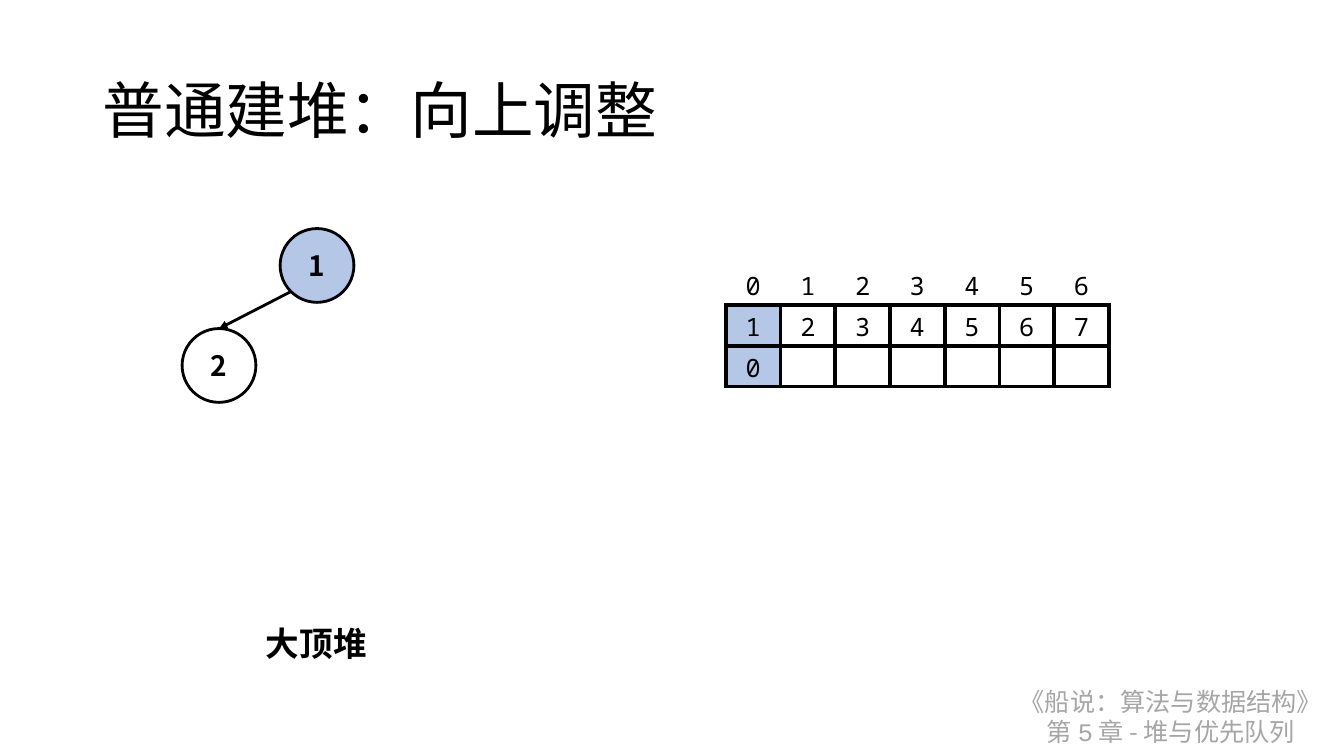
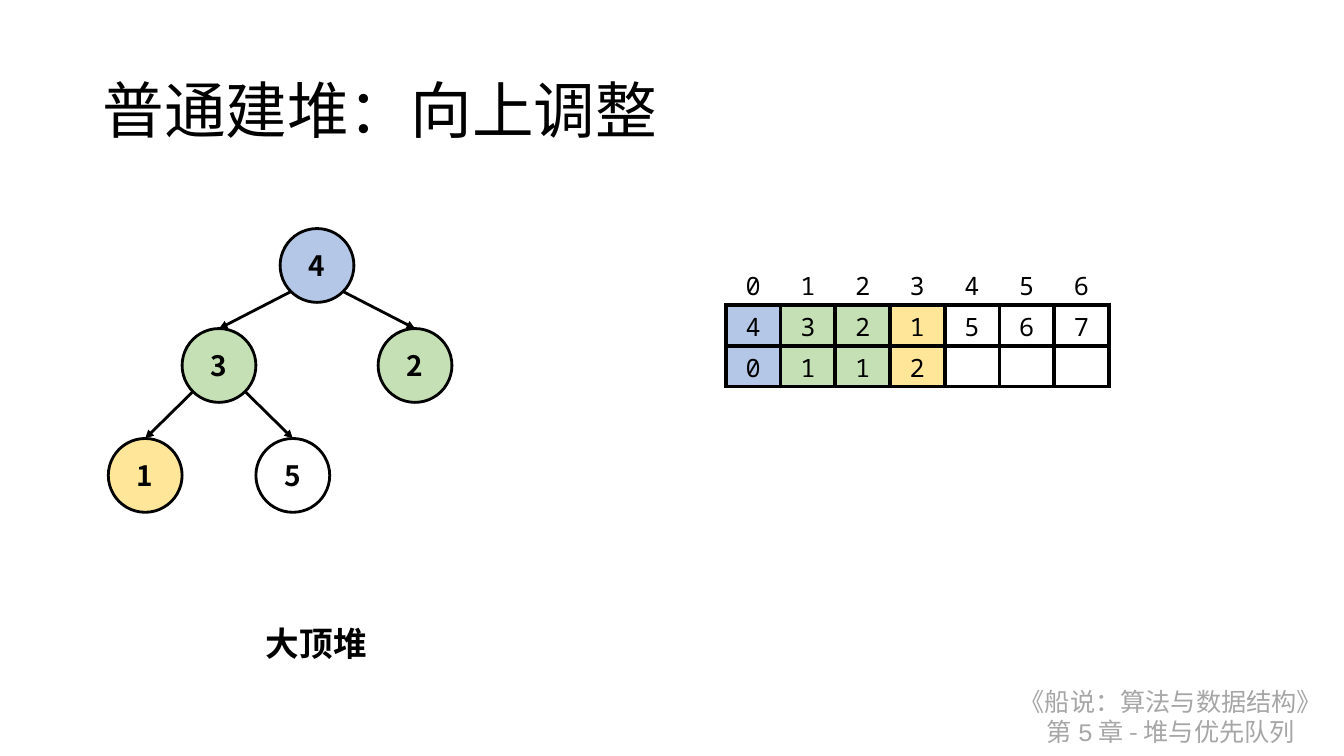
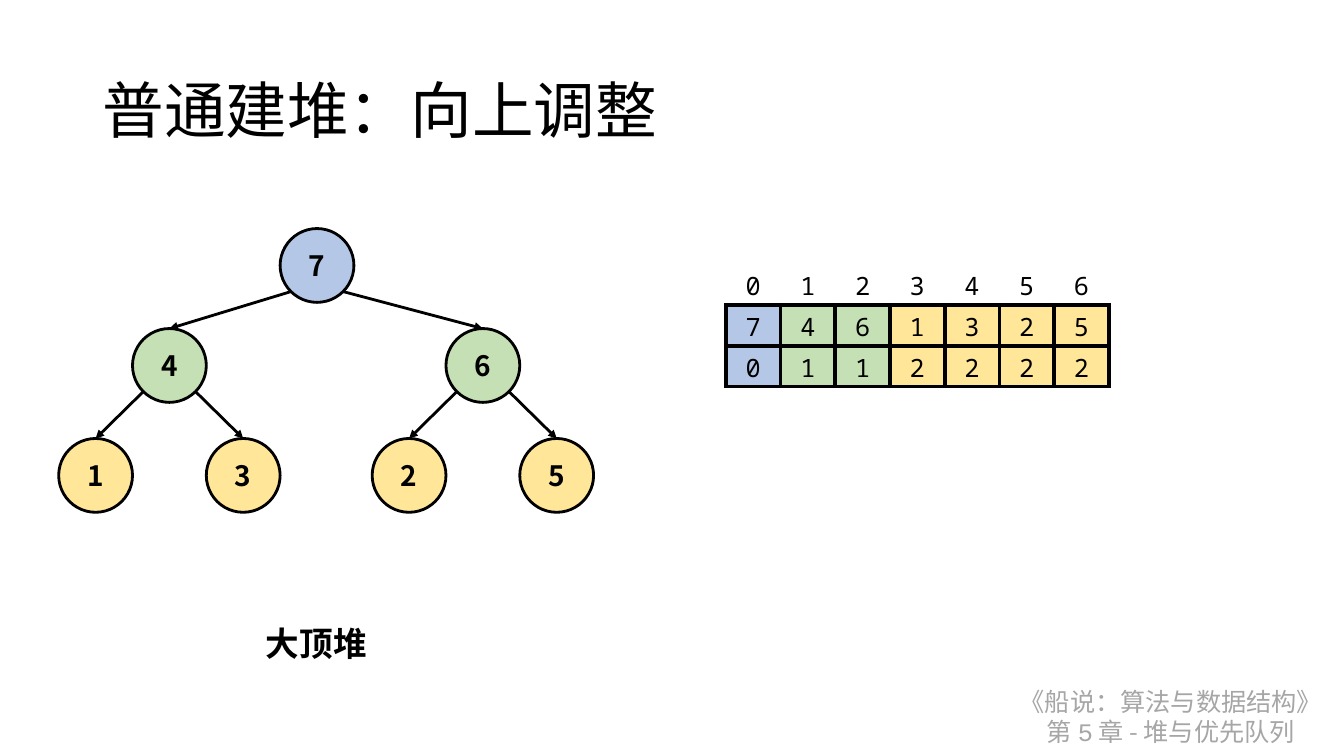
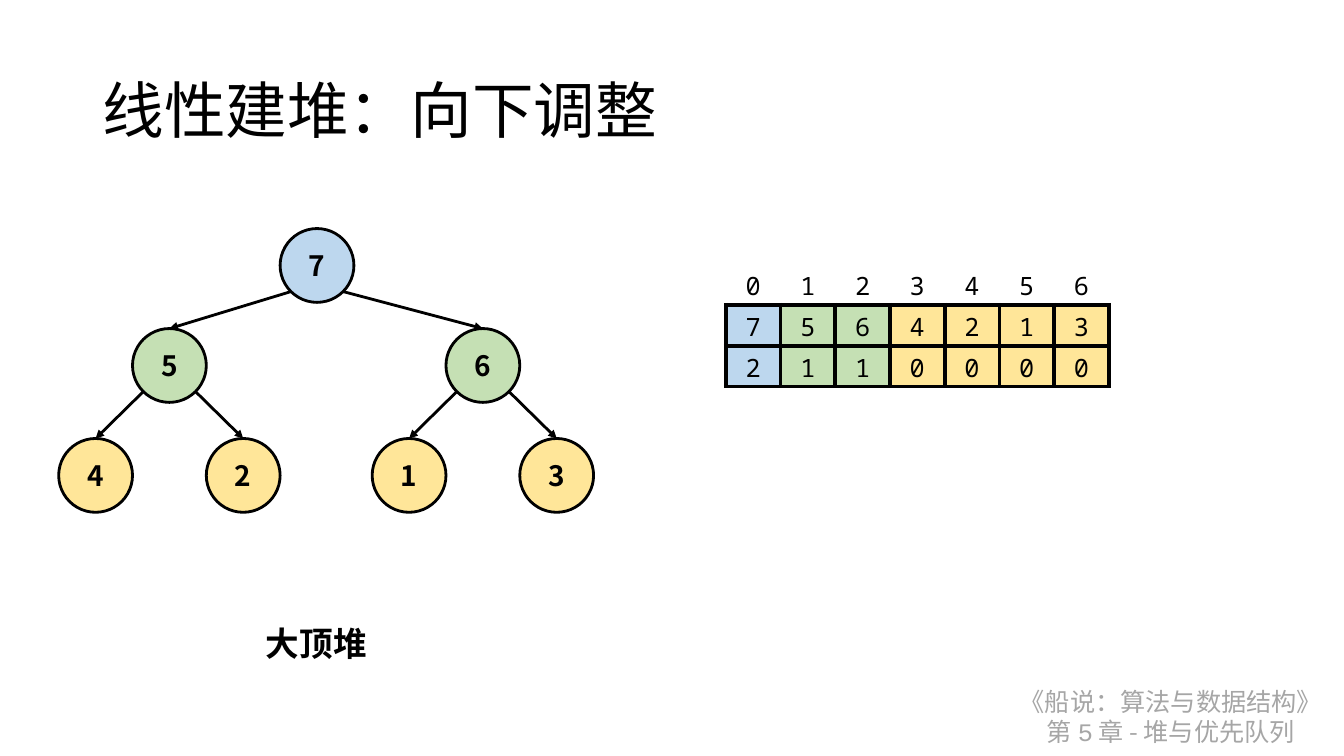
from lxml.etree import SubElement
from pptx import Presentation
from pptx.dml.color import RGBColor
from pptx.enum.shapes import MSO_CONNECTOR, MSO_SHAPE
from pptx.enum.text import MSO_ANCHOR, MSO_AUTO_SIZE, PP_ALIGN
from pptx.oxml.ns import qn
from pptx.util import Cm, Pt

SANS, MONO, COURIER = "Noto Sans CJK SC", "Noto Sans Mono", "Courier New"
BLACK, WHITE, GREY = "000000", "FFFFFF", "A6A6A6"
BLUE, PALE_BLUE, GREEN, YELLOW = "B4C7E7", "BDD7EE", "C5E0B4", "FFE699"

DIAMETER = 1.86
RADIUS = DIAMETER / 2
ROOT_X = 7.99
LEVEL_Y = (6.69, 9.21, 11.98)
NARROW, WIDE = (2.47, 2.47), (3.72, 4.18)
COLUMN, ROW = 1.38, 1.03

UPWARD, DOWNWARD = "普通建堆：向上调整", "线性建堆：向下调整"
STEPS = [
    (UPWARD, "1234567", "0", 2, NARROW, BLUE),
    (UPWARD, "4321567", "0112", 5, NARROW, BLUE),
    (UPWARD, "7461325", "0112222", 7, WIDE, BLUE),
    (DOWNWARD, "7564213", "2110000", 7, WIDE, PALE_BLUE),
]


def rgb(value):
    """Turn a hex string into a colour."""
    return RGBColor.from_string(value)


def add_run(p, text, size, font=SANS, colour=BLACK, bold=False):
    """Add one formatted run to a paragraph."""
    r = p.add_run()
    r.text = text
    r.font.size = Pt(size)
    r.font.name = font
    r.font.bold = bold
    r.font.color.rgb = rgb(colour)
    SubElement(r.font._element, qn("a:ea"), typeface=SANS)


def add_label(s, left, top, width, height):
    """Add an unwrapped text box and return it."""
    box = s.shapes.add_textbox(Cm(left), Cm(top), Cm(width), Cm(height))
    box.text_frame.word_wrap = False
    box.text_frame.auto_size = MSO_AUTO_SIZE.SHAPE_TO_FIT_TEXT
    return box


def add_footer(layout, s):
    """Build the book and chapter footer and move it to the layout."""
    box = add_label(s, 25.32, 17.17, 8.38, 1.8)
    tf = box.text_frame
    lines = [
        [("《船说：算法与数据结构》", SANS)],
        [("第 ", SANS), ("5", COURIER), (" 章 - 堆与优先队列", SANS)],
    ]
    for i, runs in enumerate(lines):
        p = tf.add_paragraph() if i else tf.paragraphs[0]
        p.alignment = PP_ALIGN.CENTER
        for text, font in runs:
            add_run(p, text, 18, font, GREY)
    box.element.nvSpPr.cNvPr.set("id", "20")
    layout.shapes.element.append(box.element)


def set_title(s, text):
    """Fill the title placeholder."""
    tf = s.shapes.title.text_frame
    tf.vertical_anchor = MSO_ANCHOR.MIDDLE
    p = tf.paragraphs[0]
    p.alignment = PP_ALIGN.LEFT
    p.line_spacing = 0.9
    add_run(p, text, 44)


def add_node(s, x, y, value, fill):
    """Add a tree node centred on a point."""
    node = s.shapes.add_shape(MSO_SHAPE.OVAL, Cm(x - RADIUS), Cm(y - RADIUS),
                              Cm(DIAMETER), Cm(DIAMETER))
    node.shadow.inherit = False
    node.fill.solid()
    node.fill.fore_color.rgb = rgb(fill)
    node.line.color.rgb = rgb(BLACK)
    node.line.width = Pt(2)
    tf = node.text_frame
    tf.vertical_anchor = MSO_ANCHOR.MIDDLE
    p = tf.paragraphs[0]
    p.alignment = PP_ALIGN.CENTER
    add_run(p, value, 20, bold=True)
    return node


def add_edge(s, parent, child, side):
    """Draw an arrow from a parent's lower side to the top of its child."""
    x, y = parent
    reach = RADIUS * 0.707
    edge = s.shapes.add_connector(MSO_CONNECTOR.STRAIGHT, Cm(x + side * reach),
                                  Cm(y + reach), Cm(x), Cm(y))
    edge.end_connect(child, 0)
    edge.line.color.rgb = rgb(BLACK)
    edge.line.width = Pt(2)
    SubElement(edge.line._get_or_add_ln(), qn("a:tailEnd"), type="triangle")
    SubElement(edge.element.spPr, qn("a:effectLst"))


def add_tree(s, values, fills, spread):
    """Draw the values as a binary heap."""
    centres = []
    for i, (value, fill) in enumerate(zip(values, fills)):
        level = (i + 1).bit_length() - 1
        side = -1 if i % 2 else 1
        parent = centres[(i - 1) // 2] if i else None
        x = ROOT_X
        if parent:
            gap = spread[i - 1] if level == 1 else DIAMETER
            x = parent[0] + side * gap
        centres.append((x, LEVEL_Y[level]))
        node = add_node(s, *centres[i], value, fill)
        if parent:
            add_edge(s, parent, node, side)


def add_borders(cell, sides):
    """Give the named sides of a cell a black border."""
    props = cell._tc.get_or_add_tcPr()
    for side in sides:
        line = SubElement(props, qn(f"a:ln{side}"), w=str(Pt(3)))
        fill = SubElement(line, qn("a:solidFill"))
        SubElement(fill, qn("a:srgbClr"), val=BLACK)


def add_array(s, values, levels, fills):
    """Add the table of indexes, values and levels."""
    rows = ["0123456", values, levels]
    count = len(values)
    table = s.shapes.add_table(len(rows), count, Cm(18.29), Cm(6.65),
                               Cm(COLUMN * count), Cm(ROW * len(rows))).table
    table.first_row = table.horz_banding = False
    for column in table.columns:
        column.width = Cm(COLUMN)
    for i, row in enumerate(rows):
        table.rows[i].height = Cm(ROW)
        for j in range(count):
            cell = table.cell(i, j)
            add_borders(cell, "LRTB" if i else "B")
            if i and j < len(levels):
                cell.fill.solid()
                cell.fill.fore_color.rgb = rgb(fills[j])
            else:
                cell.fill.background()
            p = cell.text_frame.paragraphs[0]
            p.alignment = PP_ALIGN.CENTER
            if j < len(row):
                add_run(p, row[j], 18, MONO)


def add_step(prs, layout, title, values, levels, shown, spread, root):
    """Add a slide for one step of building the heap."""
    s = prs.slides.add_slide(layout)
    set_title(s, title)
    caption = add_label(s, 6.45, 15.57, 3.07, 1.27)
    add_run(caption.text_frame.paragraphs[0], "大顶堆", 24, bold=True)
    palette = [root] + [GREEN] * 2 + [YELLOW] * 4
    fills = [c if i < len(levels) else WHITE for i, c in enumerate(palette)]
    add_array(s, values, levels, fills)
    add_tree(s, values[:shown], fills, spread)
    return s


def main():
    """Build and save the presentation."""
    prs = Presentation()
    prs.slide_width, prs.slide_height = Cm(33.87), Cm(19.05)
    layout = prs.slide_layouts[5]
    title = layout.placeholders[0]
    title.left, title.top = Cm(2.33), Cm(1.02)
    title.width, title.height = Cm(29.21), Cm(3.68)
    slides = [add_step(prs, layout, *step) for step in STEPS]
    add_footer(layout, slides[0])
    prs.save("out.pptx")


if __name__ == "__main__":
    main()
